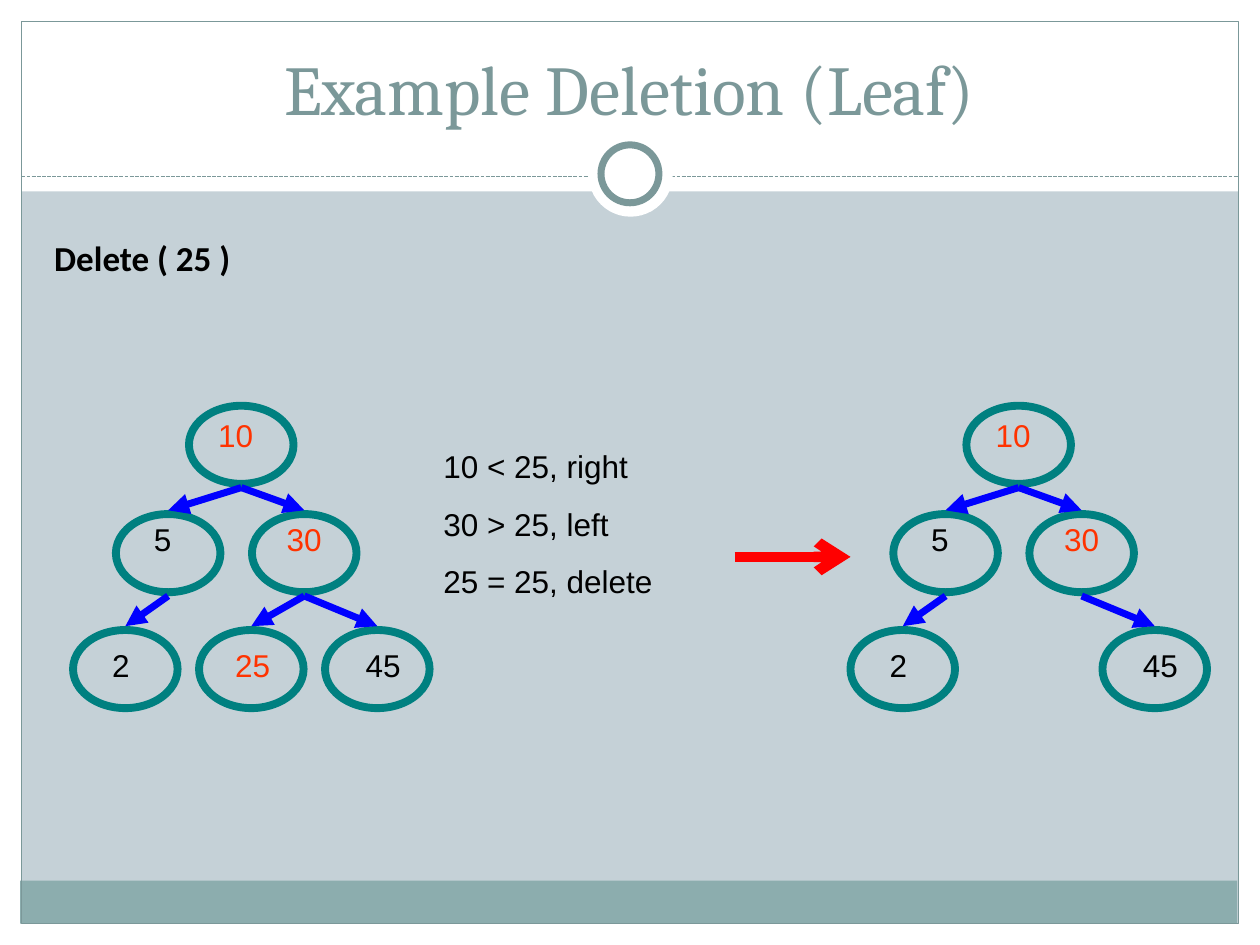
from dataclasses import dataclass

from pptx import Presentation
from pptx import util as u
from pptx.dml.color import RGBColor
from pptx.enum import dml, shapes, text
from pptx.oxml import ns, xmlchemy


@dataclass(frozen=True)
class Theme:
    ground: str = "C5D1D7"
    white: str = "FFFFFF"
    band: str = "8CADAE"
    accent: str = "7B9899"
    node: str = "008080"
    edge: str = "0000FF"
    result: str = "FF0000"
    ink: str = "000000"
    visited: str = "FF3300"
    title_size: int = 40
    body_size: int = 20
    label_size: int = 18


theme = Theme()
deck = Presentation()
deck.slide_width, deck.slide_height = u.Inches(10), u.Inches(7.5)
page = deck.slides.add_slide(deck.slide_layouts[1])
page.background.fill.solid()
page.background.fill.fore_color.rgb = RGBColor.from_string(theme.ground)


def add_box(kind, left, top, width, height, fill=None, line=None, weight=0.75):
    box = page.shapes.add_shape(kind, *map(u.Inches, (left, top, width, height)))
    box.shadow.inherit = False
    if fill:
        box.fill.solid()
        box.fill.fore_color.rgb = RGBColor.from_string(fill)
    else:
        box.fill.background()
    if line:
        box.line.color.rgb = RGBColor.from_string(line)
        box.line.width = u.Pt(weight)
    else:
        box.line.fill.background()


def add_line(start, end, color, weight, head=None):
    line = page.shapes.add_connector(
        shapes.MSO_CONNECTOR.STRAIGHT, *map(u.Inches, (*start, *end)))
    line.line.color.rgb = RGBColor.from_string(color)
    line.line.width = u.Pt(weight)
    properties = line.element.spPr
    if head:
        tail = xmlchemy.OxmlElement("a:tailEnd")
        tail.set("type", head)
        properties.find(ns.qn("a:ln")).append(tail)
    properties.append(xmlchemy.OxmlElement("a:effectLst"))
    return line


rectangle, oval = shapes.MSO_SHAPE.RECTANGLE, shapes.MSO_SHAPE.OVAL
for left, top, width, height, fill in (
    (0, 7.33, 10, 0.17, theme.white),
    (0, 0, 10, 1.52, theme.white),
    (0, 0, 0.17, 7.5, theme.white),
    (9.83, 0, 0.17, 7.5, theme.white),
    (0.16, 6.99, 9.66, 0.34, theme.band),
):
    add_box(rectangle, left, top, width, height, fill)
add_box(rectangle, 0.17, 0.17, 9.66, 7.16, line=theme.accent)
divider = add_line((0.17, 1.4), (9.83, 1.4), theme.accent, 0.75)
divider.line.dash_style = dml.MSO_LINE.SQUARE_DOT
add_box(oval, 4.67, 1.05, 0.67, 0.67, theme.white)
add_box(oval, 4.77, 1.15, 0.46, 0.46, theme.white, theme.accent, 4)

title, body = page.shapes.title, page.placeholders[1]
for holder, place, words, font, size, color in (
    (title, (0.33, 0.25, 9.33, 0.83), "Example Deletion (Leaf)",
     "Cambria", theme.title_size, theme.accent),
    (body, (0.33, 1.83, 9.3, 4.84), "Delete ( 25 )",
     "Calibri", theme.body_size, theme.ink),
):
    holder.left, holder.top, holder.width, holder.height = map(u.Inches, place)
    holder.element.getparent().append(holder.element)
    holder.text_frame.auto_size = text.MSO_AUTO_SIZE.NONE
    span = holder.text_frame.paragraphs[0].add_run()
    span.text = words
    span.font.name, span.font.size = font, u.Pt(size)
    span.font.color.rgb = RGBColor.from_string(color)
    span.font.bold = holder is body
title.text_frame.vertical_anchor = text.MSO_ANCHOR.BOTTOM
title.text_frame.paragraphs[0].alignment = text.PP_ALIGN.CENTER
body.text_frame.vertical_anchor = text.MSO_ANCHOR.TOP
para = body.text_frame.paragraphs[0]
para.space_before = u.Pt(5)
bullet = para._p.get_or_add_pPr()
bullet.set("marL", str(u.Inches(0.3)))
bullet.set("indent", str(u.Inches(-0.3)))
bullet.append(xmlchemy.OxmlElement("a:buNone"))

node_width, node_height, edge_gap = 0.83, 0.62, 0.03
nodes = {
    "10": (1.5, 3.22, 0.08, 0.03, 0.58),
    "5": (0.92, 4.08, 0.16, 0, 0.42),
    "30": (2, 4.08, 0.08, 0, 0.67),
    "2": (0.58, 5, 0.17, 0.08, 0.42),
    "25": (1.58, 5, 0.09, 0.08, 0.67),
    "45": (2.58, 5, 0.17, 0.08, 0.58),
}
edges = (("5", "2"), ("30", "25"), ("10", "30"), ("10", "5"), ("30", "45"))
search_route = ("10", "30", "25")
captions = [((3.42, 3.5, 2.5, 1.32),
             ("10 < 25, right", "30 > 25, left", "25 = 25, delete"),
             theme.ink, text.PP_ALIGN.LEFT, 11.2)]

for shift, deleted in ((0, None), (6.17, "25")):
    for label, (left, top, inset, drop, width) in nodes.items():
        if label == deleted:
            continue
        add_box(oval, left + shift, top, node_width, node_height,
                line=theme.node, weight=4.5)
        color = theme.visited if label in search_route else theme.ink
        captions.append(((left + shift + inset, top + drop, width, 0.4),
                         (label,), color, text.PP_ALIGN.CENTER, 0))
    for parent, child in edges:
        if child == deleted:
            continue
        parent_left, parent_top = nodes[parent][:2]
        child_left, child_top = nodes[child][:2]
        center = shift + node_width / 2
        add_line((parent_left + center, parent_top + node_height + edge_gap),
                 (child_left + center, child_top - edge_gap),
                 theme.edge, 4, "triangle")

for place, lines, color, alignment, gap in captions:
    box = page.shapes.add_textbox(*map(u.Inches, place))
    frame = box.text_frame
    frame.word_wrap = True
    frame.auto_size = text.MSO_AUTO_SIZE.SHAPE_TO_FIT_TEXT
    for index, words in enumerate(lines):
        para = frame.add_paragraph() if index else frame.paragraphs[0]
        para.alignment = alignment
        para.space_before = u.Pt(gap)
        span = para.add_run()
        span.text = words
        span.font.name, span.font.size = "Arial", u.Pt(theme.label_size)
        span.font.color.rgb = RGBColor.from_string(color)

add_line((5.83, 4.42), (6.75, 4.42), theme.result, 6, "arrow")
deck.save("out.pptx")
